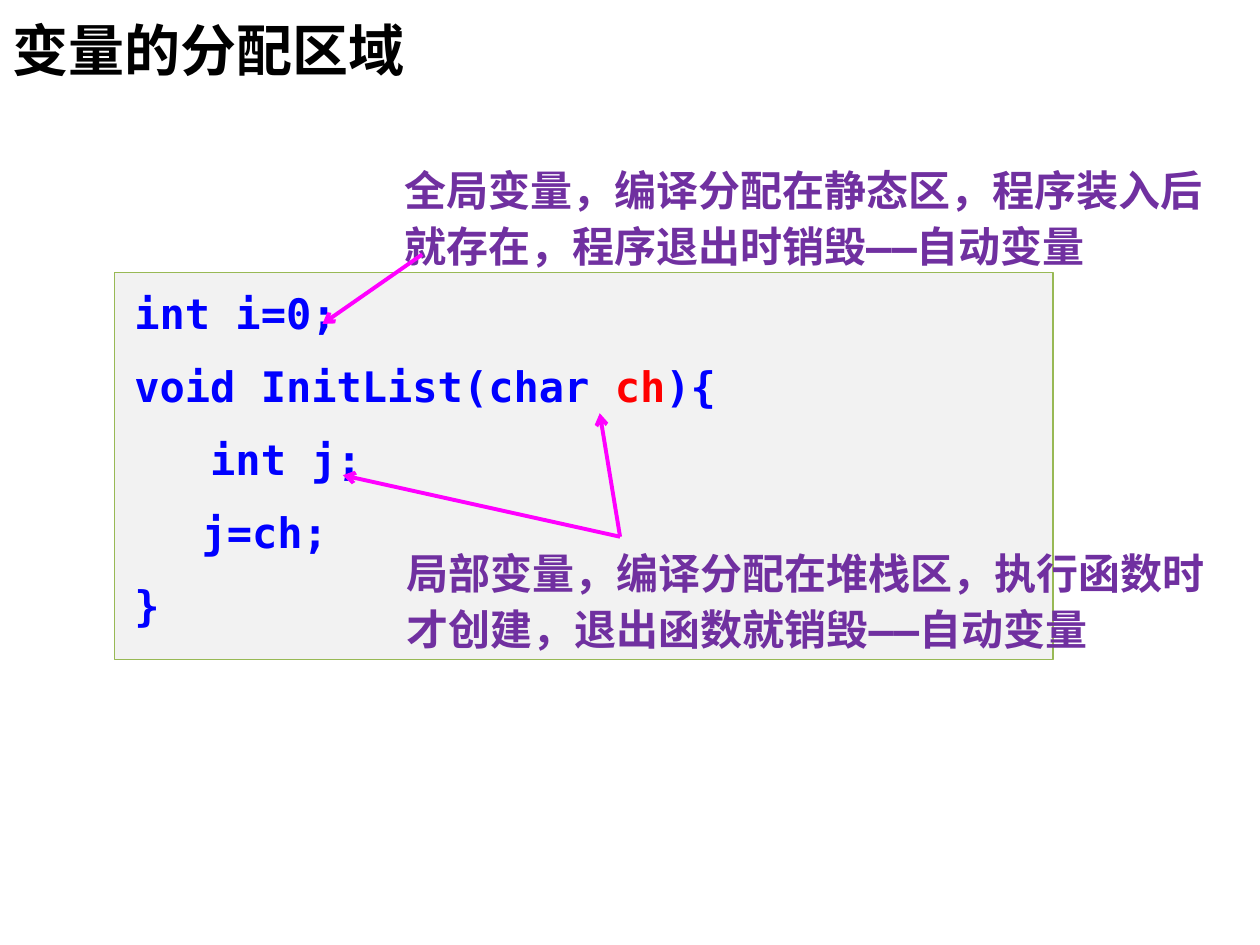
from lxml import etree
from pptx import Presentation
from pptx.dml.color import RGBColor
from pptx.enum import shapes, text
from pptx.oxml import ns
from pptx.util import Cm, Pt

COLORS = {
    "title": "000000",
    "note": "7030A0",
    "code": "0000FF",
    "parameter": "FF0000",
    "panel": "F2F2F2",
    "border": "98B955",
    "arrow": "FF00FF",
}
TITLE_FONT = "Noto Sans CJK SC"
BODY_FONT = "DejaVu Sans Mono"

TITLE = "变量的分配区域"
GLOBAL_NOTE = "全局变量，编译分配在静态区，程序装入后就存在，程序退出时销毁——自动变量"
LOCAL_NOTE = "局部变量，编译分配在堆栈区，执行函数时才创建，退出函数就销毁——自动变量"
CODE_LINES = [
    [("int i=0;", "code")],
    [("void InitList(char ", "code"), ("ch", "parameter"), ("){", "code")],
    [("   int j;", "code")],
    [("　 j=ch;", "code")],
    [("}", "code")],
]


def color(name):
    return RGBColor.from_string(COLORS[name])


def add_span(para, words, name, face):
    """Add a run whose Latin and East Asian typefaces are both set."""
    span = para.add_run()
    span.text = words
    span.font.name = face
    span.font.color.rgb = color(name)
    east_asian = etree.SubElement(span.font._element, ns.qn("a:ea"))
    east_asian.set("typeface", face)


def set_font(para, size):
    para.font.size = Pt(size)
    para.font.bold = True


def place_title(page, left, top, width, height):
    title = page.shapes.title
    title.left, title.top, title.width, title.height = left, top, width, height
    frame = title.text_frame
    frame.auto_size = text.MSO_AUTO_SIZE.NONE
    frame.vertical_anchor = text.MSO_ANCHOR.MIDDLE
    para = frame.paragraphs[0]
    para.alignment = text.PP_ALIGN.LEFT
    add_span(para, TITLE, "title", TITLE_FONT)
    set_font(para, 32)


def add_note(page, words, left, top, width, height):
    frame = page.shapes.add_textbox(left, top, width, height).text_frame
    frame.word_wrap = True
    para = frame.paragraphs[0]
    para.line_spacing = 1.1
    add_span(para, words, "note", BODY_FONT)
    set_font(para, 24)


def add_code_panel(page, left, top, width, height):
    panel = page.shapes.add_shape(
        shapes.MSO_SHAPE.RECTANGLE, left, top, width, height)
    panel.shadow.inherit = False
    panel.fill.solid()
    panel.fill.fore_color.rgb = color("panel")
    panel.line.color.rgb = color("border")
    panel.line.width = Pt(0.75)
    frame = panel.text_frame
    frame.word_wrap = True
    frame.vertical_anchor = text.MSO_ANCHOR.TOP
    frame.margin_left = frame.margin_right = Cm(0.4)
    frame.margin_top = frame.margin_bottom = Cm(0.3)
    for index, line in enumerate(CODE_LINES):
        para = frame.add_paragraph() if index else frame.paragraphs[0]
        para.alignment = text.PP_ALIGN.LEFT
        if index:
            para.space_before = Pt(13)
        for words, name in line:
            add_span(para, words, name, BODY_FONT)
        set_font(para, 24)


def add_arrow(page, start, end):
    arrow = page.shapes.add_connector(
        shapes.MSO_CONNECTOR.STRAIGHT, *start, *end)
    arrow.line.color.rgb = color("arrow")
    arrow.line.width = Pt(2.25)
    outline = arrow.line._get_or_add_ln()
    etree.SubElement(outline, ns.qn("a:tailEnd")).set("type", "arrow")
    etree.SubElement(arrow._element.spPr, ns.qn("a:effectLst"))


def main():
    deck = Presentation()
    deck.slide_width, deck.slide_height = Cm(25.4), Cm(19.05)
    page = deck.slides.add_slide(deck.slide_layouts.get_by_name("Title Only"))

    place_title(page, 0, 0, Cm(22.83), Cm(1.98))
    add_note(page, GLOBAL_NOTE, Cm(7.9), Cm(3.1), Cm(17.1), Cm(3.58))
    add_code_panel(page, Cm(2.31), Cm(5.49), Cm(18.92), Cm(7.8))
    add_note(page, LOCAL_NOTE, Cm(7.95), Cm(10.82), Cm(17.1), Cm(2.51))

    local_start = Cm(12.5), Cm(10.82)
    add_arrow(page, (Cm(8.51), Cm(5.13)), (Cm(6.5), Cm(6.53)))
    add_arrow(page, local_start, (Cm(12.09), Cm(8.33)))
    add_arrow(page, local_start, (Cm(6.91), Cm(9.58)))

    deck.save("out.pptx")


if __name__ == "__main__":
    main()
